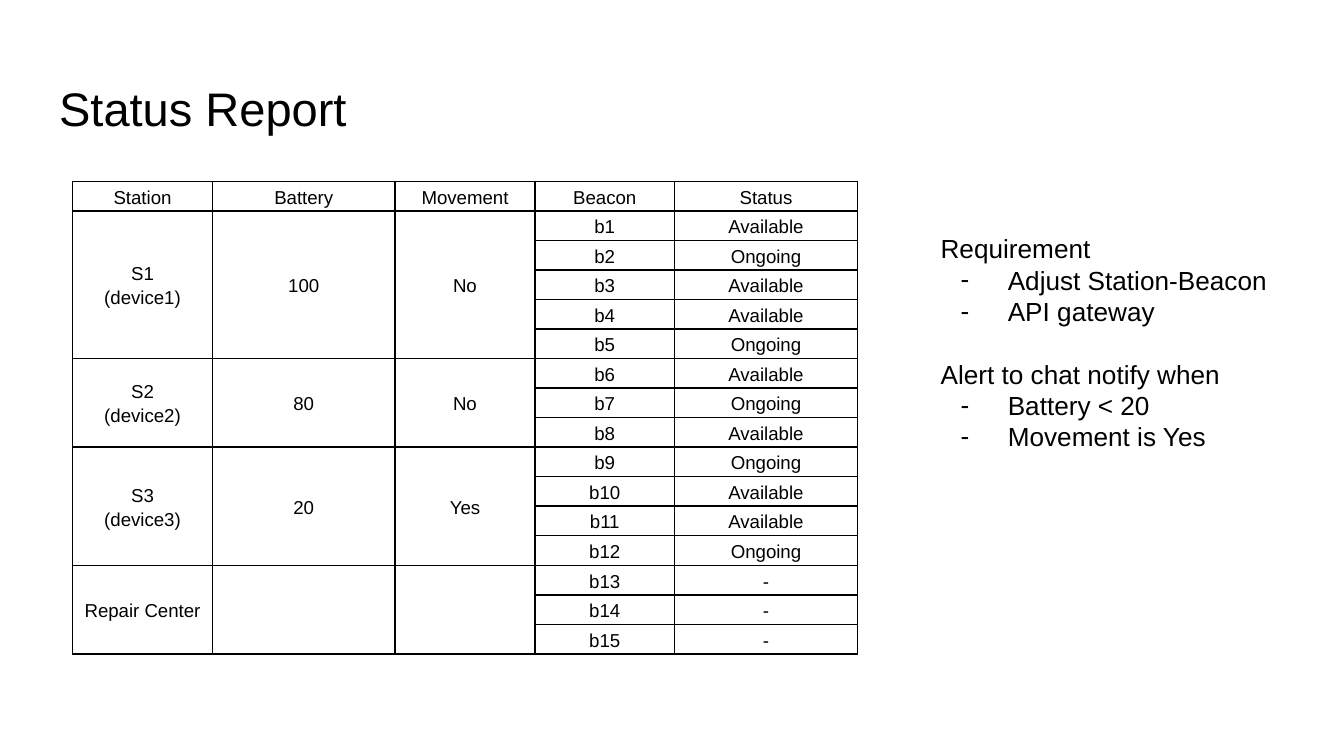
from dataclasses import dataclass
from typing import Any

from lxml.etree import SubElement
from pptx import Presentation
from pptx.dml.color import RGBColor
from pptx.enum.text import MSO_ANCHOR, MSO_AUTO_SIZE, PP_ALIGN
from pptx.oxml import parse_xml
from pptx.oxml.ns import nsdecls, qn
from pptx.util import Inches, Pt


@dataclass(frozen=True)
class Theme:
    face: str = "Arial"
    ink: str = "000000"
    title: float = 25.2
    body: float = 14
    cell: float = 10
    lead: float = 16.8
    rule: float = 0.94


@dataclass(frozen=True)
class Station:
    name: str
    power: str
    moved: str
    states: tuple[str, ...]


@dataclass(frozen=True)
class Topic:
    head: str
    items: tuple[str, ...]
    gap: float = 0


THEME = Theme()
WIDE = Inches(10)
ON, BUSY = "Available", "Ongoing"
HEADS = ("Station", "Battery", "Movement", "Beacon", "Status")
WIDTHS = (1.04, 1.36, 1.04, 1.04, 1.36)
ROW = 0.22
STATIONS = (
    Station("S1\n(device1)", "100", "No", (ON, BUSY, ON, ON, BUSY)),
    Station("S2\n(device2)", "80", "No", (ON, BUSY, ON)),
    Station("S3\n(device3)", "20", "Yes", (BUSY, ON, ON, BUSY)),
    Station("Repair Center", "", "", ("-",) * 3),
)
TOPICS = (
    Topic("Requirement", ("Adjust Station-Beacon", "API gateway")),
    Topic("Alert to chat notify when", ("Battery < 20", "Movement is Yes"), THEME.lead),
)
FRAME = {f"margin_{side}": Inches(0.1) for side in ("left", "right", "top", "bottom")}
FRAME |= {"word_wrap": True, "vertical_anchor": MSO_ANCHOR.TOP}
CELL = {
    "margin_left": Inches(0.03),
    "margin_right": Inches(0.03),
    "margin_top": Inches(0.02),
    "margin_bottom": Inches(0.02),
    "vertical_anchor": MSO_ANCHOR.MIDDLE,
}


def style(thing: Any, values: dict[str, Any]) -> None:
    for key, value in values.items():
        setattr(thing, key, value)


def write(para: Any, text: str, size: float) -> None:
    run = para.add_run()
    run.text = text
    style(run.font, {"name": THEME.face, "size": Pt(size)})
    run.font.color.rgb = RGBColor.from_string(THEME.ink)


def edge(cell: Any) -> None:
    props = cell._tc.get_or_add_tcPr()
    for spot, side in enumerate("LRTB"):
        line = parse_xml(
            f'<a:ln{side} {nsdecls("a")} w="{Pt(THEME.rule)}">'
            f'<a:solidFill><a:srgbClr val="{THEME.ink}"/></a:solidFill></a:ln{side}>'
        )
        props.insert(spot, line)


def fill(cell: Any, text: str) -> None:
    style(cell, CELL)
    cell.fill.background()
    edge(cell)
    frame = cell.text_frame
    for spot, part in enumerate(text.split("\n")):
        para = frame.add_paragraph() if spot else frame.paragraphs[0]
        style(para, {"alignment": PP_ALIGN.CENTER, "line_spacing": 1.15})
        if part:
            write(para, part, THEME.cell)
        else:
            SubElement(para._p, qn("a:endParaRPr"), sz=str(int(THEME.cell * 100)))


def draw_grid(slide: Any) -> None:
    rows = [HEADS]
    spans = []
    for item in STATIONS:
        start = len(rows)
        for spot, state in enumerate(item.states):
            lead = ("", "", "") if spot else (item.name, item.power, item.moved)
            rows.append((*lead, f"b{len(rows)}", state))
        spans.append((start, len(rows) - 1))
    size = Inches(sum(WIDTHS)), Inches(ROW * len(rows))
    grid = slide.shapes.add_table(
        len(rows), len(HEADS), Inches(0.54), Inches(1.35), *size
    ).table
    style(grid, {"first_row": False, "horz_banding": False})
    for col, width in zip(grid.columns, WIDTHS):
        col.width = Inches(width)
    for y, row in enumerate(rows):
        grid.rows[y].height = Inches(ROW)
        for x, text in enumerate(row):
            fill(grid.cell(y, x), text)
    for first, last in spans:
        for x in range(3):
            grid.cell(first, x).merge(grid.cell(last, x))


def dash(para: Any) -> None:
    props = para._p.get_or_add_pPr()
    props.set("marL", str(Inches(0.5)))
    props.set("indent", str(Inches(-0.35)))
    tint = SubElement(props, qn("a:buClr"))
    SubElement(tint, qn("a:srgbClr"), val=THEME.ink)
    SubElement(props, qn("a:buFont"), typeface=THEME.face)
    SubElement(props, qn("a:buChar"), char="-")


def draw_notes(slide: Any) -> None:
    box = slide.shapes.add_textbox(Inches(6.9), Inches(1.63), Inches(3.11), Inches(1.85))
    frame = box.text_frame
    style(frame, FRAME | {"auto_size": MSO_AUTO_SIZE.SHAPE_TO_FIT_TEXT})
    para = frame.paragraphs[0]
    for topic in TOPICS:
        for spot, text in enumerate((topic.head, *topic.items)):
            if para is None:
                para = frame.add_paragraph()
            gap = 0 if spot else topic.gap
            style(para, {"line_spacing": Pt(THEME.lead), "space_before": Pt(gap)})
            if spot:
                dash(para)
            write(para, text, THEME.body)
            para = None


def draw_title(slide: Any) -> None:
    title = slide.shapes.title
    style(title, {
        "left": Inches(0.34),
        "top": Inches(0.49),
        "width": Inches(9.32),
        "height": Inches(0.63),
    })
    frame = title.text_frame
    style(frame, FRAME | {"auto_size": MSO_AUTO_SIZE.NONE})
    para = frame.paragraphs[0]
    para.alignment = PP_ALIGN.LEFT
    write(para, "Status Report", THEME.title)


def main() -> None:
    deck = Presentation()
    style(deck, {"slide_width": WIDE, "slide_height": WIDE * 9 // 16})
    slide = deck.slides.add_slide(deck.slide_layouts[5])
    draw_title(slide)
    draw_grid(slide)
    draw_notes(slide)
    deck.save("out.pptx")


if __name__ == "__main__":
    main()
